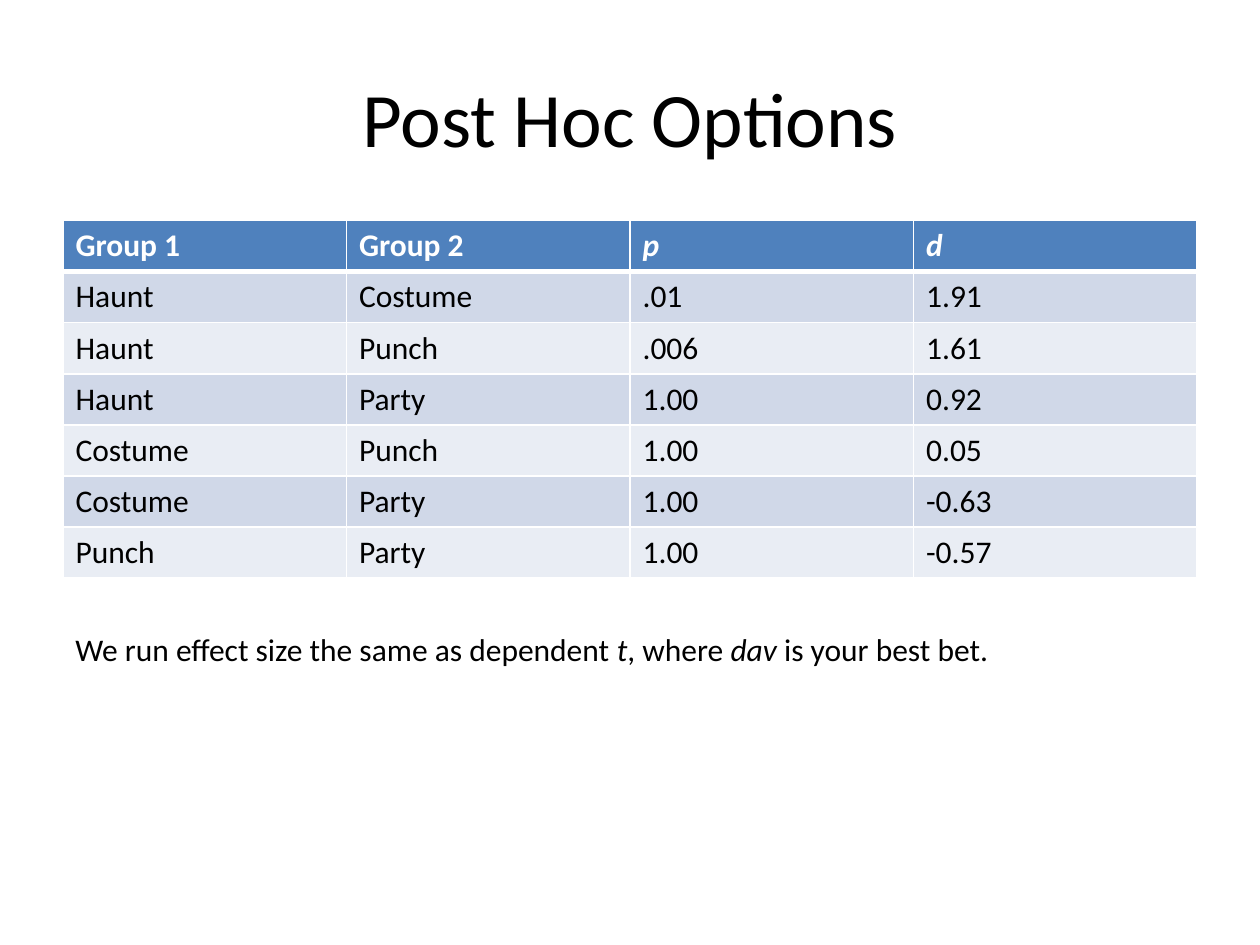
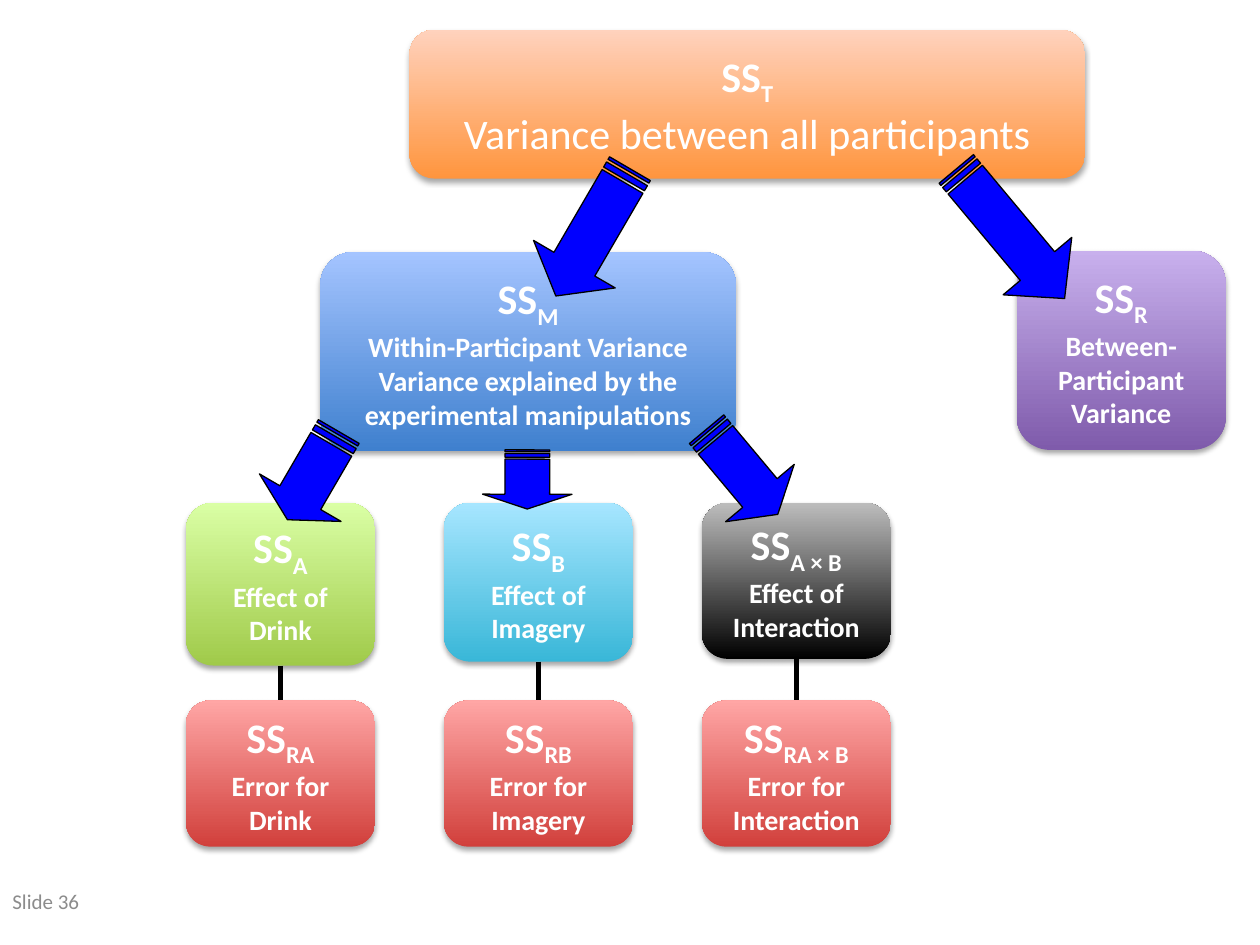
"""Builds two slides on post hoc tests and the partition of variance."""
from lxml import etree
from pptx import Presentation
from pptx.dml.color import RGBColor
from pptx.enum.shapes import MSO_CONNECTOR, MSO_SHAPE
from pptx.enum.text import MSO_ANCHOR, PP_ALIGN
from pptx.oxml import parse_xml
from pptx.oxml.ns import nsdecls, qn
from pptx.util import Pt

LEFT, CENTER = PP_ALIGN.LEFT, PP_ALIGN.CENTER
TOP, MIDDLE = MSO_ANCHOR.TOP, MSO_ANCHOR.MIDDLE
ROUND, ARROW = MSO_SHAPE.FLOWCHART_ALTERNATE_PROCESS, MSO_SHAPE.STRIPED_RIGHT_ARROW
STRAIGHT = MSO_CONNECTOR.STRAIGHT
FONT = "Calibri"
HUES = {
    "black": "000000", "white": "FFFFFF", "gray": "8C8C8C",
    "head": "4F81BD", "odd": "D0D8E8", "even": "E9EDF4", "arrow": "0000FF",
}
FADES = {
    "orange": ("FF953E", "FFD2BD"), "blue": ("3F80CE", "A4C4FF"),
    "purple": ("7F5BAB", "C8B0ED"), "green": ("A0CA4A", "DAFFA5"),
    "aqua": ("39B7D8", "A7E6FF"), "dark": ("000000", "BDBDBD"),
    "red": ("D1403C", "FFA6A5"),
}
ROWS = [
    ("Group 1", "Group 2", "p", "d"),
    ("Haunt", "Costume", ".01", "1.91"),
    ("Haunt", "Punch", ".006", "1.61"),
    ("Haunt", "Party", "1.00", "0.92"),
    ("Costume", "Punch", "1.00", "0.05"),
    ("Costume", "Party", "1.00", "-0.63"),
    ("Punch", "Party", "1.00", "-0.57"),
]
NOTE = [
    ("We run effect size the same as dependent ", False), ("t", True),
    (", where ", False), ("dav ", True), ("is your best bet.", False),
]
EFFECTS = [
    ("A", "Drink", "green", 93), ("B", "Imagery", "aqua", 90.8),
    ("A × B", "Interaction", "dark", 89.2),
]
ARROWS = [
    (232.8, 115.8, 84.2, 54, 120.2), (471.4, 116.6, 96.5, 51.1, 50.1),
    (72.9, 254.8, 58.3, 54, 120.2), (195.3, 257, 33.8, 51.1, 90.1),
    (318.1, 252.6, 63.4, 51.1, 50.1),
]


def rgb(name):
    """Return the named colour."""
    return RGBColor.from_string(HUES[name])


def add_run(para, text, size, hue="black", bold=False, slant=False):
    """Add one run of text to a paragraph."""
    run = para.add_run()
    run.text = text
    font = run.font
    font.name, font.size, font.bold, font.italic = FONT, Pt(size), bold, slant
    font.color.rgb = rgb(hue)
    return run


def add_text(slide, box, runs, size, hue="black", align=LEFT, anchor=TOP, wrap=True):
    """Add a one-paragraph text box from (text, italic) runs."""
    frame = slide.shapes.add_textbox(*map(Pt, box)).text_frame
    frame.word_wrap, frame.vertical_anchor = wrap, anchor
    para = frame.paragraphs[0]
    para.alignment = align
    for text, slant in runs:
        add_run(para, text, size, hue, slant=slant)


def add_edges(cell, top, bottom):
    """Give a cell white borders, with its top and bottom widths in points."""
    props = cell._tc.get_or_add_tcPr()
    for side, width in zip("LRTB", (1, 1, top, bottom)):
        line = etree.SubElement(props, qn(f"a:ln{side}"), w=str(Pt(width)))
        fill = etree.SubElement(line, qn("a:solidFill"))
        etree.SubElement(fill, qn("a:srgbClr"), val=HUES["white"])


def add_grid(slide, box):
    """Add the table of post hoc results, filling the box."""
    left, top, width, height = box
    table = slide.shapes.add_table(len(ROWS), len(ROWS[0]), *map(Pt, box)).table
    for col in table.columns:
        col.width = Pt(width / len(ROWS[0]))
    for i, texts in enumerate(ROWS):
        table.rows[i].height = Pt(height / len(ROWS))
        head = i == 0
        for j, text in enumerate(texts):
            cell = table.cell(i, j)
            add_edges(cell, 3 if i == 1 else 1, 3 if head else 1)
            cell.fill.solid()
            cell.fill.fore_color.rgb = rgb("head" if head else "odd" if i % 2 else "even")
            add_run(cell.text_frame.paragraphs[0], text, 18,
                    "white" if head else "black", head, head and j > 1)


def add_shade(shape):
    """Give a shape a soft shadow straight below it."""
    shape._element.spPr.append(parse_xml(
        f'<a:effectLst {nsdecls("a")}><a:outerShdw blurRad="{Pt(3.1)}" dist="{Pt(1.8)}" '
        f'dir="5400000" rotWithShape="0"><a:srgbClr val="{HUES["black"]}">'
        '<a:alpha val="35000"/></a:srgbClr></a:outerShdw></a:effectLst>'))


def add_node(slide, box, fade, sub, label, size=16, bold=True):
    """Add a rounded box with a sum of squares, its subscript and a label."""
    shape = slide.shapes.add_shape(ROUND, *map(Pt, box))
    shape.fill.gradient()
    shape.fill.gradient_angle = 90
    for stop, tone in zip(shape.fill.gradient_stops, FADES[fade]):
        stop.color.rgb = RGBColor.from_string(tone)
    shape.line.fill.background()
    add_shade(shape)
    frame = shape.text_frame
    frame.word_wrap, frame.vertical_anchor = True, MIDDLE
    first, second = frame.paragraphs[0], frame.add_paragraph()
    first.alignment = second.alignment = CENTER
    add_run(first, "SS", 24, "white", True)
    low = add_run(first, sub, 24, "white", True)
    low._r.get_or_add_rPr().set("baseline", "-25000")
    add_run(second, label, size, "white", bold)
    return shape


def add_arrow(slide, mid_x, mid_y, width, height, angle):
    """Add a striped arrow around its centre, with a head a quarter as long."""
    shape = slide.shapes.add_shape(ARROW, Pt(mid_x - width / 2), Pt(mid_y - height / 2),
                                   Pt(width), Pt(height))
    shape.adjustments[0] = 0.5
    shape.adjustments[1] = width / 4 / min(width, height)
    shape.rotation = angle
    shape.shadow.inherit = False
    shape.fill.solid()
    shape.fill.fore_color.rgb = rgb("arrow")
    shape.line.color.rgb = rgb("black")
    shape.line.width = Pt(0.75)


def add_link(slide, upper, lower):
    """Join the bottom of one box to the top of another."""
    link = slide.shapes.add_connector(STRAIGHT, 0, 0, 0, 0)
    link.begin_connect(upper, 2)
    link.end_connect(lower, 0)
    link.line.color.rgb = rgb("black")
    link.line.width = Pt(3)
    etree.SubElement(link._element.spPr, qn("a:effectLst"))


def add_tree(slide, box):
    """Add the tree of variance parts, placed from the corner of the box."""
    left, top, width, height = box
    add_node(slide, (left + 128, top, 386, 85), "orange", "T",
             "Variance between all participants", 24, False)
    add_node(slide, (left + 77, top + 127, 237.6, 113.8), "blue", "M",
             "Within-Participant Variance Variance explained by the experimental manipulations")
    add_node(slide, (left + width - 119.5, top + 126.3, 119.5, 113.8), "purple", "R",
             "Between-Participant Variance")
    for i, (sub, label, fade, tall) in enumerate(EFFECTS):
        x = left + 0.3 + 147.4 * i
        effect = add_node(slide, (x, top + 270.3, 108, tall), fade, sub, f"Effect of {label}")
        error = add_node(slide, (x, top + height - 83.5, 108, 83.5), "red", f"R{sub}",
                         f"Error for {label}")
        add_link(slide, effect, error)
    for x, y, *rest in ARROWS:
        add_arrow(slide, left + x, top + y, *rest)


def main():
    """Build both slides and save the deck."""
    deck = Presentation()
    deck.slide_width, deck.slide_height = Pt(720), Pt(540)
    blank = deck.slide_layouts[6]
    post = deck.slides.add_slide(blank)
    add_text(post, (36, 21.6, 648, 90), [("Post Hoc Options", False)], 44,
             align=CENTER, anchor=MIDDLE)
    add_grid(post, (36, 126, 648, 204.4))
    add_text(post, (36, 356.4, 556.6, 29), NOTE, 18, wrap=False)
    parts = deck.slides.add_slide(blank)
    add_text(parts, (0, 500.4, 67.7, 28.8), [("Slide 36", False)], 12, "gray", anchor=MIDDLE)
    add_tree(parts, (106, 17, 594.5, 466.8))
    deck.save("out.pptx")


if __name__ == "__main__":
    main()
